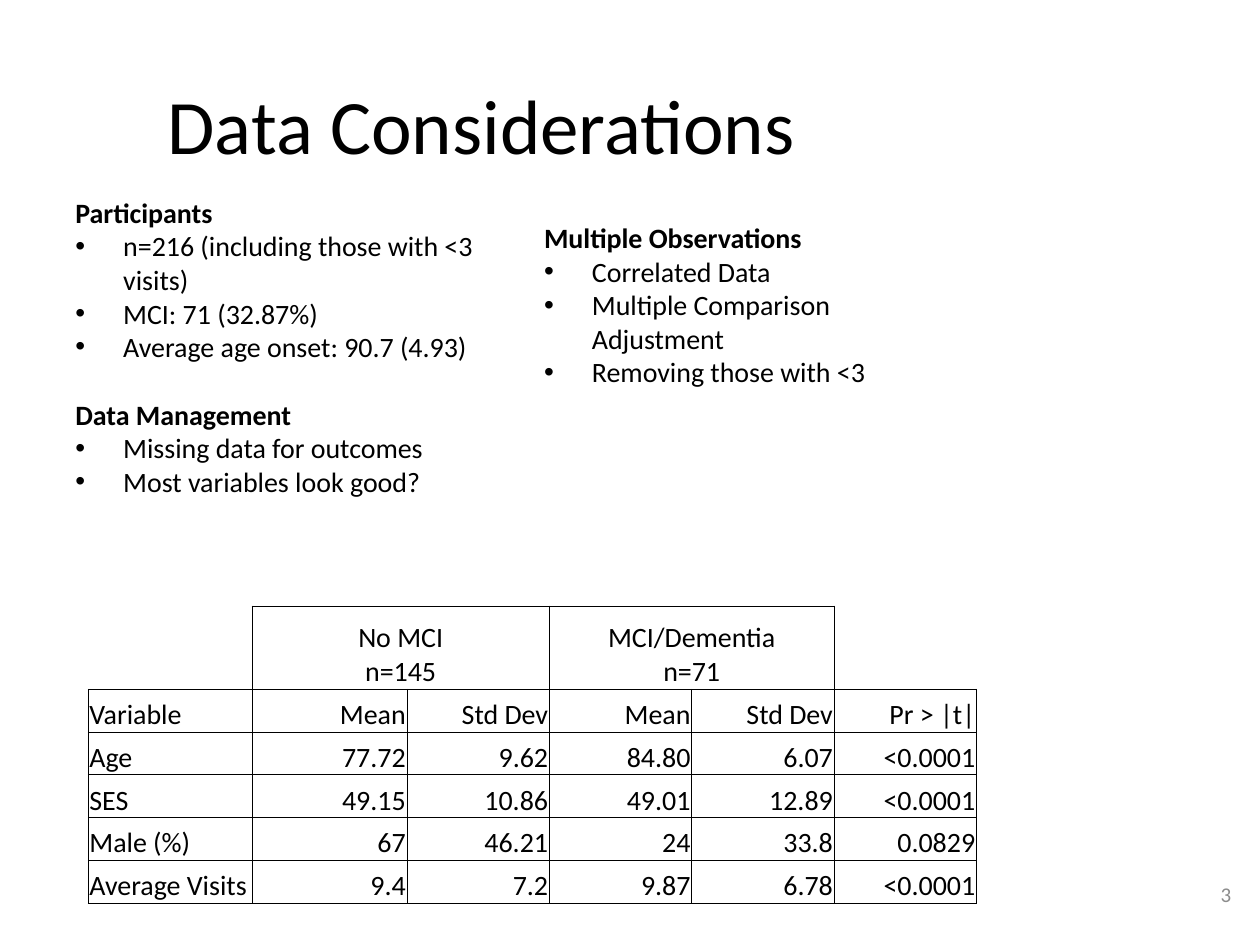
from lxml.etree import SubElement
from pptx import Presentation
from pptx.dml.color import RGBColor
from pptx.enum.text import MSO_ANCHOR as Anchor, MSO_AUTO_SIZE as AutoSize, PP_ALIGN as Align
from pptx.oxml.ns import qn
from pptx.util import Inches, Pt

BLACK = RGBColor(0x00, 0x00, 0x00)
GRAY = RGBColor(0x8C, 0x8C, 0x8C)


def format_runs(para, size, color=BLACK, bold=False):
    for span in para.runs:
        span.font.name = "Calibri"
        span.font.size = Pt(size)
        span.font.bold = bold
        span.font.color.rgb = color


def set_border(cell, side, visible):
    line = SubElement(cell._tc.get_or_add_tcPr(), qn(f"a:ln{side}"), w=str(Pt(0.5)))
    if visible:
        fill = SubElement(line, qn("a:solidFill"))
        SubElement(fill, qn("a:srgbClr"), val=str(BLACK))
    else:
        SubElement(line, qn("a:noFill"))


deck = Presentation()
deck.slide_width, deck.slide_height = Inches(10), Inches(7.5)
slide = deck.slides.add_slide(deck.slide_layouts[5])

title = slide.shapes.title
title.left, title.top = Inches(0.5), Inches(0.56)
title.width, title.height = Inches(6.64), Inches(0.89)
frame = title.text_frame
frame.text = "Data Considerations"
frame.auto_size = AutoSize.NONE
frame.vertical_anchor = Anchor.BOTTOM
frame.margin_top = frame.margin_bottom = Inches(0.1)
frame.paragraphs[0].alignment = Align.CENTER
format_runs(frame.paragraphs[0], 44)

columns = [
    ((0.5, 1.45, 3.36, 4.29), [
        ("Participants", [
            "n=216 (including those with <3 visits)",
            "MCI: 71 (32.87%)",
            "Average age onset: 90.7 (4.93)",
        ]),
        ("Data Management", ["Missing data for outcomes", "Most variables look good?"]),
    ]),
    ((4.22, 1.65, 2.93, 3.85), [
        ("Multiple Observations", [
            "Correlated Data",
            "Multiple Comparison Adjustment",
            "Removing those with <3",
        ]),
    ]),
]
for place, sections in columns:
    box = slide.shapes.add_textbox(*map(Inches, place))
    frame = box.text_frame
    frame.word_wrap = True
    frame.margin_top = frame.margin_bottom = Inches(0.1)
    para = frame.paragraphs[0]
    for number, (heading, points) in enumerate(sections):
        if number:
            para = frame.add_paragraph()
            para.space_before = Pt(19.5)
        para.text = heading
        format_runs(para, 16, bold=True)
        for point in points:
            para = frame.add_paragraph()
            para.text = point
            format_runs(para, 16)
            properties = para._p.get_or_add_pPr()
            properties.set("marL", str(Inches(0.38)))
            properties.set("indent", str(-Inches(0.38)))
            SubElement(properties, qn("a:buFont"), typeface="Arial")
            SubElement(properties, qn("a:buChar"), char="•")

box = slide.shapes.add_textbox(Inches(9.27), Inches(6.81), Inches(0.6), Inches(0.57))
frame = box.text_frame
frame.text = "3"
frame.word_wrap = True
frame.vertical_anchor = Anchor.MIDDLE
frame.paragraphs[0].alignment = Align.RIGHT
format_runs(frame.paragraphs[0], 12, GRAY)

rows = [
    ["", "No MCI\nn=145", "", "MCI/Dementia\nn=71", "", ""],
    ["Variable", "Mean", "Std Dev", "Mean", "Std Dev", "Pr > |t|"],
    ["Age", "77.72", "9.62", "84.80", "6.07", "<0.0001"],
    ["SES", "49.15", "10.86", "49.01", "12.89", "<0.0001"],
    ["Male (%)", "67", "46.21", "24", "33.8", "0.0829"],
    ["Average Visits", "9.4", "7.2", "9.87", "6.78", "<0.0001"],
]
widths = [1.3, 1.23] + [1.13] * 4
heights = [0.66] + [0.34] * 5
table = slide.shapes.add_table(
    len(rows), len(widths), Inches(0.7), Inches(4.81), Inches(sum(widths)), Inches(sum(heights))
).table
table.first_row = table.horz_banding = False
for column, width in zip(table.columns, widths):
    column.width = Inches(width)
for row, height in zip(table.rows, heights):
    row.height = Inches(height)
for first in (1, 3):
    table.cell(0, first).merge(table.cell(0, first + 1))

last = len(widths) - 1
hidden_sides = {(0, 0): "LT", (0, last): "RT"}
for r, values in enumerate(rows):
    for c, value in enumerate(values):
        cell = table.cell(r, c)
        cell.vertical_anchor = Anchor.BOTTOM
        cell.margin_left = cell.margin_right = Inches(0.01)
        cell.margin_top, cell.margin_bottom = Inches(0.02), 0
        for side in "LRTB":
            set_border(cell, side, side not in hidden_sides.get((r, c), ""))
        cell.fill.background()
        if value:
            para = cell.text_frame.paragraphs[0]
            para.text = value
            para.alignment = Align.CENTER if r == 0 else Align.RIGHT if c else Align.LEFT
            format_runs(para, 16)

deck.save("out.pptx")
